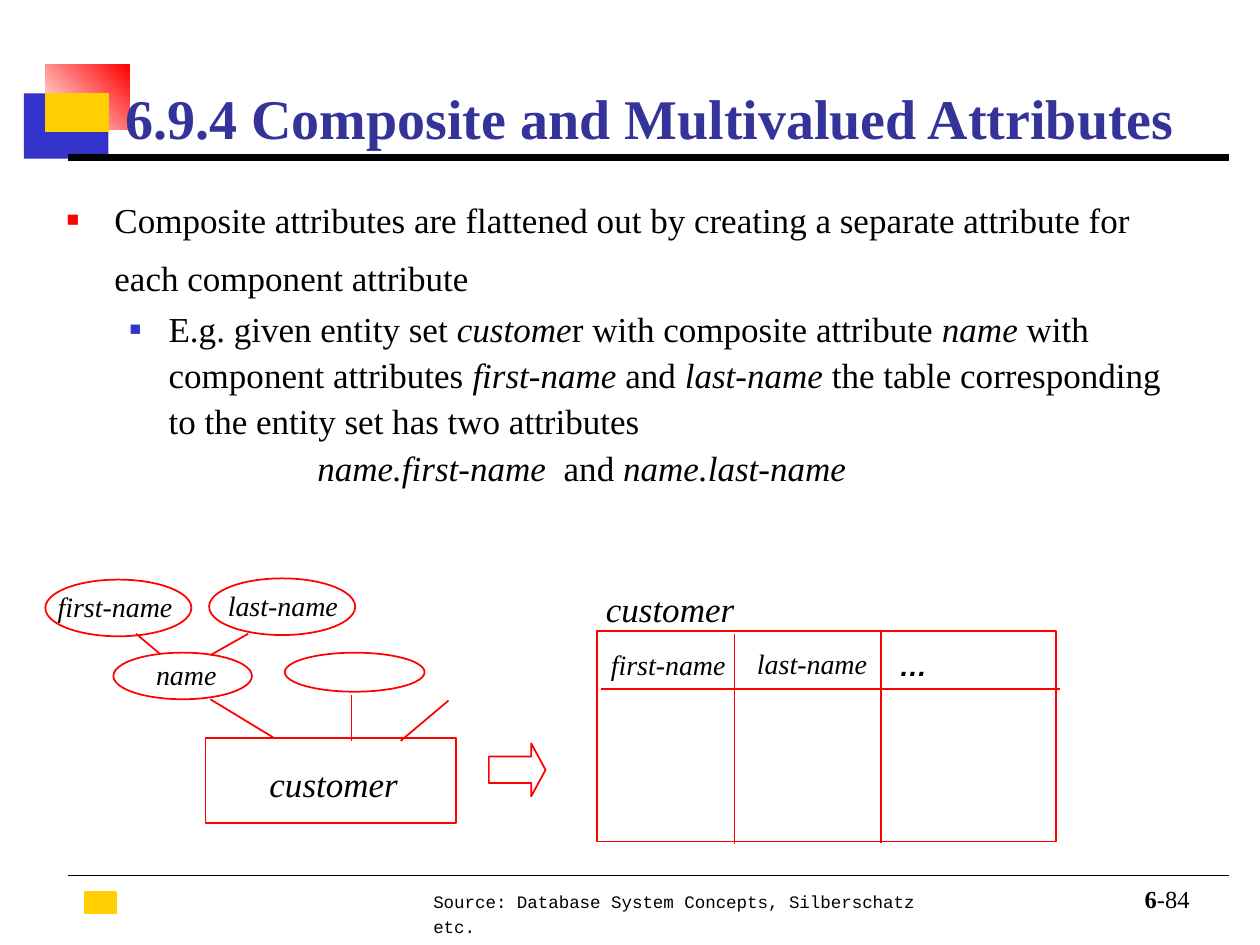
from lxml import etree
from pptx import Presentation
from pptx import util as u
from pptx.dml import color
from pptx.enum import shapes, text
from pptx.oxml import ns

Inches = u.Inches
COLORS = {"red": "FF0000", "blue": "3333CC", "gold": "FFCF01", "title": "333399",
          "black": "000000", "white": "FFFFFF"}
SERIF = "Times New Roman"
SHAPE = shapes.MSO_SHAPE
LABEL_WIDTH = 1.2  # leaves room for a hyphenated attribute name on one line


def rgb(name):
    return color.RGBColor.from_string(COLORS[name])


def add_bullet(paragraph, name, size):
    """Give the paragraph a square bullet; size is a percentage of the text."""
    props = paragraph._p.get_or_add_pPr()
    tint = etree.SubElement(props, ns.qn("a:buClr"))
    etree.SubElement(tint, ns.qn("a:srgbClr"), val=COLORS[name])
    etree.SubElement(props, ns.qn("a:buSzPct"), val=str(size * 1000))
    etree.SubElement(props, ns.qn("a:buFont"), typeface="Arial")
    etree.SubElement(props, ns.qn("a:buChar"), char="■")


def write(paragraph, words, size=20, font=SERIF, ink="black", bold=False, italic=False,
          mark="italic", align=None, spacing=None, before=0, left=0, hang=0, bullet=None):
    """Write words; the parts between asterisks get the format named by mark."""
    paragraph.alignment = align
    paragraph.line_spacing = spacing
    paragraph.space_before = u.Pt(before)
    props = paragraph._p.get_or_add_pPr()
    props.set("marL", str(Inches(left)))
    props.set("indent", str(Inches(-hang)))
    if bullet:
        add_bullet(paragraph, *bullet)
    for i, part in enumerate(words.split("*")):
        if not part:
            continue
        run = paragraph.add_run()
        run.text = part
        run.font.name, run.font.size = font, u.Pt(size)
        run.font.color.rgb = rgb(ink)
        run.font.bold, run.font.italic = bold, italic
        if i % 2:
            setattr(run.font, mark, True)


def add_text(slide, x, y, w, h, words, wrap=False, anchor=text.MSO_ANCHOR.TOP, **fmt):
    frame = slide.shapes.add_textbox(*map(Inches, (x, y, w, h))).text_frame
    frame.word_wrap = wrap
    frame.vertical_anchor = anchor
    write(frame.paragraphs[0], words, **fmt)
    return frame


def add_shape(slide, kind, x, y, w, h, fill=None, line=None, weight=1):
    shape = slide.shapes.add_shape(kind, *map(Inches, (x, y, w, h)))
    shape.shadow.inherit = False
    if fill:
        shape.fill.solid()
        shape.fill.fore_color.rgb = rgb(fill)
    else:
        shape.fill.background()
    if line:
        shape.line.color.rgb = rgb(line)
        shape.line.width = u.Pt(weight)
    else:
        shape.line.fill.background()
    return shape


def add_line(slide, x1, y1, x2, y2, ink="red", weight=1):
    line = slide.shapes.add_connector(shapes.MSO_CONNECTOR.STRAIGHT,
                                      *map(Inches, (x1, y1, x2, y2)))
    line.line.color.rgb = rgb(ink)
    line.line.width = u.Pt(weight)
    etree.SubElement(line._element.spPr, ns.qn("a:effectLst"))


def add_ornament(slide, x, y):
    """Overlapping squares beside the title."""
    add_shape(slide, SHAPE.RECTANGLE, x, y + 0.23, 0.67, 0.52, fill="blue")
    glow = add_shape(slide, SHAPE.RECTANGLE, x + 0.17, y, 0.67, 0.52)
    glow.fill.gradient()
    glow.fill.gradient_angle = 45
    for stop, name in zip(glow.fill.gradient_stops, ("white", "red")):
        stop.color.rgb = rgb(name)
    add_shape(slide, SHAPE.RECTANGLE, x + 0.17, y + 0.23, 0.5, 0.3,
              fill="gold", line="gold", weight=0.75)


def add_title(slide, x, y, w, h):
    add_line(slide, 0.54, y + h, 9.75, y + h, "black", 4.5)
    title = slide.shapes.title
    # Keep the heading in front of the ornament and the rule
    slide.shapes._spTree.append(title._element)
    title.left, title.top, title.width, title.height = map(Inches, (x, y, w, h))
    frame = title.text_frame
    frame.auto_size = text.MSO_AUTO_SIZE.NONE
    frame.vertical_anchor = text.MSO_ANCHOR.BOTTOM
    write(frame.paragraphs[0], "6.9.4 Composite and Multivalued Attributes",
          size=32, ink="title", bold=True, align=text.PP_ALIGN.CENTER)


def add_footer(slide, x, y, w):
    add_line(slide, x, y, x + w, y, "black", 0.5)
    add_shape(slide, SHAPE.RECTANGLE, x + 0.13, y + 0.13, 0.25, 0.17,
              fill="gold", line="gold", weight=0.75)
    add_text(slide, x + 2.8, y + 0.04, 4.35, 0.3,
             "Source: Database System Concepts, Silberschatz etc.",
             wrap=True, size=10, font="Courier New", spacing=1.2)
    add_text(slide, x + 8.17, y + 0.02, 0.83, 0.33, "*6*-84", wrap=True, size=14,
             mark="bold", align=text.PP_ALIGN.RIGHT, anchor=text.MSO_ANCHOR.BOTTOM)


def add_body(slide, x, y, w, h):
    frame = add_text(slide, x, y, w, h,
                     "Composite attributes are flattened out by creating a separate "
                     "attribute for each component attribute",
                     wrap=True, spacing=1.4, left=0.38, hang=0.38, bullet=("red", 60))
    example = frame.add_paragraph()
    example.level = 1
    write(example,
          "E.g. given entity set *custome*r with composite attribute *name* with component "
          "attributes *first-name *and *last-name* the table corresponding to the entity set "
          "has two attributes",
          spacing=1.1, before=2.5, left=0.81, hang=0.31, bullet=("blue", 55))
    result = frame.add_paragraph()
    result.level = 1
    write(result, "*name.first-name*  and *name.last-name*", spacing=1.1, left=1.99)


def add_entity_diagram(slide, x, y):
    """Entity with its composite attribute."""
    add_shape(slide, SHAPE.RECTANGLE, x + 1.27, y + 1.27, 1.99, 0.67, line="red")
    for dx, dy, w, h in ((0.54, 0.59, 1.1, 0.37), (1.9, 0.59, 1.11, 0.31),
                         (1.3, 0, 1.16, 0.45), (0, 0.01, 1.16, 0.45)):
        add_shape(slide, SHAPE.OVAL, x + dx, y + dy, w, h, line="red")
    for x1, y1, x2, y2 in ((2.43, 0.93, 2.43, 1.29), (1.31, 0.96, 1.82, 1.27),
                           (3.2, 0.97, 2.82, 1.29), (1.31, 0.61, 1.61, 0.44),
                           (0.72, 0.44, 0.91, 0.6)):
        add_line(slide, x + x1, y + y1, x + x2, y + y2)
    for dx, dy, label in ((0, 0.04, "first-name"), (1.35, 0.03, "last-name"),
                          (0.78, 0.58, "name")):
        add_text(slide, x + dx, y + dy, LABEL_WIDTH, 0.37, label, size=16, italic=True)
    add_text(slide, x + 1.68, y + 1.41, 1.22, 0.44, "customer", italic=True)


def add_relation(slide, x, y, w, h):
    """Relation drawn as a ruled frame whose rules overshoot slightly."""
    add_shape(slide, SHAPE.RECTANGLE, x, y, w, h, line="red")
    add_line(slide, x + 0.03, y + 0.46, x + w + 0.03, y + 0.46)
    for dx, dy in ((1.09, 0.02), (2.25, 0.01)):
        add_line(slide, x + dx, y + dy, x + dx, y + dy + h)
    add_text(slide, x - 0.03, y - 0.4, 1.22, 0.44, "customer", italic=True)
    for dx, dy, label in ((0.01, 0.08, "first-name"), (1.17, 0.07, "last-name")):
        add_text(slide, x + dx, y + dy, LABEL_WIDTH, 0.37, label, size=16, italic=True)
    add_text(slide, x + 2.3, y + 0.09, 0.42, 0.37, "…", size=16, font="Arial",
             bold=True, italic=True)


def main():
    deck = Presentation()
    deck.slide_width, deck.slide_height = Inches(10), Inches(7.5)
    slide = deck.slides.add_slide(deck.slide_layouts.get_by_name("Title Only"))

    # Frame of the slide
    add_ornament(slide, 0.19, 0.51)
    add_title(slide, 0.63, 0.5, 9.06, 0.75)
    add_footer(slide, 0.54, 6.95, 9.21)

    # Explanation, then the entity turned into a relation
    add_body(slide, 0.43, 1.39, 9.11, 5.59)
    add_entity_diagram(slide, 0.36, 4.59)
    arrow = add_shape(slide, SHAPE.RIGHT_ARROW, 3.88, 5.9, 0.45, 0.42, line="red")
    arrow.adjustments[1] = 0.27
    add_relation(slide, 4.74, 5.01, 3.64, 1.67)

    deck.save("out.pptx")


if __name__ == "__main__":
    main()
